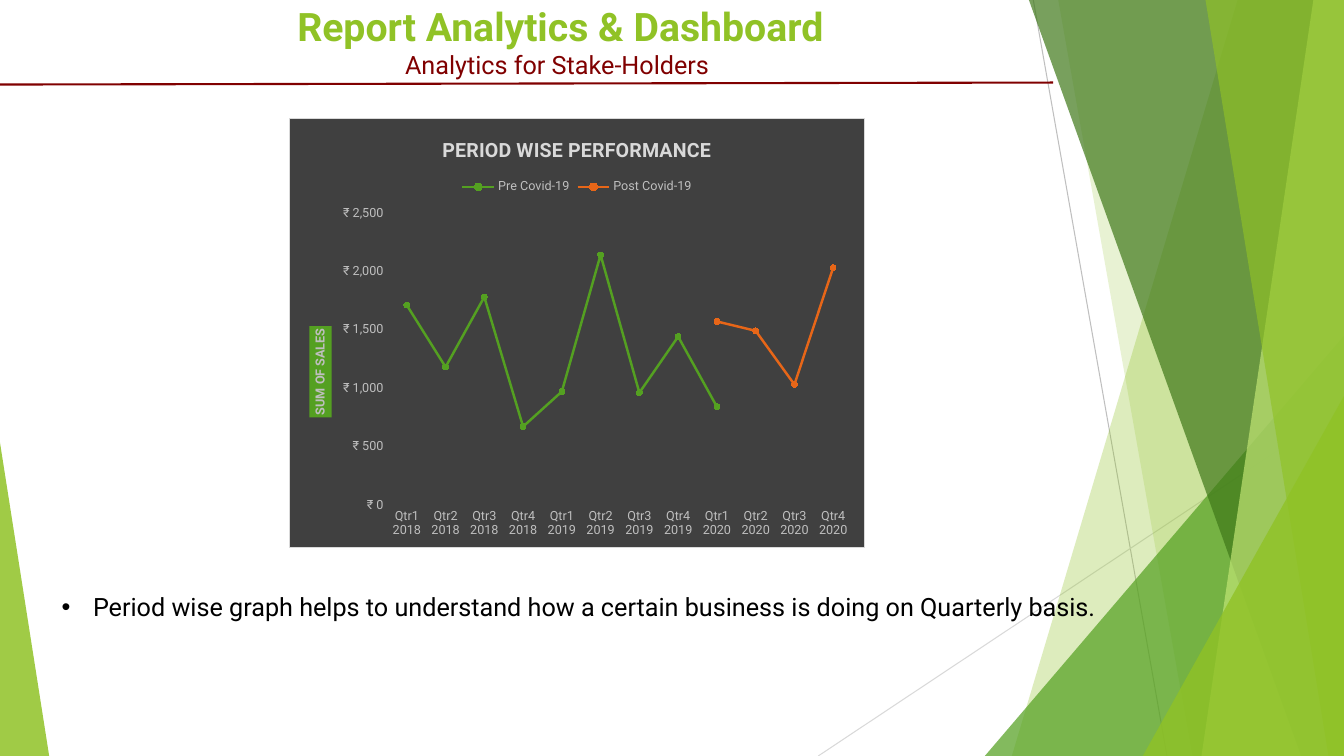
from lxml import etree
from pptx import Presentation
from pptx.chart.data import CategoryChartData
from pptx.dml.color import RGBColor
from pptx.enum.chart import (XL_CHART_TYPE, XL_LEGEND_POSITION, XL_MARKER_STYLE,
                             XL_TICK_MARK)
from pptx.enum.shapes import MSO_CONNECTOR, MSO_SHAPE
from pptx.enum.text import MSO_ANCHOR, MSO_AUTO_SIZE, PP_ALIGN
from pptx.oxml import parse_xml
from pptx.oxml.ns import nsdecls, qn
from pptx.util import Cm, Pt

LINE_CHART = XL_CHART_TYPE.LINE_MARKERS_STACKED
LEGEND_TOP = XL_LEGEND_POSITION.TOP
CIRCLE = XL_MARKER_STYLE.CIRCLE
NO_TICK = XL_TICK_MARK.NONE
STRAIGHT = MSO_CONNECTOR.STRAIGHT
TRIANGLE = MSO_SHAPE.ISOSCELES_TRIANGLE
TOP, MIDDLE = MSO_ANCHOR.TOP, MSO_ANCHOR.MIDDLE
NO_AUTOFIT = MSO_AUTO_SIZE.NONE
LEFT, CENTER = PP_ALIGN.LEFT, PP_ALIGN.CENTER

FONT = "Roboto"
LIME, GREEN, DARK_GREEN, PALE_LIME = "90C226", "54A021", "3F7819", "C0E474"
ORANGE, MAROON, BLACK = "E76618", "800000", "000000"
CHARCOAL, LIGHT_GRAY, GRAY = "404040", "D9D9D9", "BFBFBF"
SLIDE_WIDTH, SLIDE_HEIGHT = 33.87, 19.05


# Shared helpers
def rgb(color):
    return RGBColor.from_string(color)


def set_font(font, size, color, bold=False):
    font.name, font.size, font.bold = FONT, Pt(size), bold
    font.color.rgb = rgb(color)


def add_line(slide, start, end, color, width):
    line = slide.shapes.add_connector(STRAIGHT, *(Cm(value) for value in start + end))
    line.line.color.rgb = rgb(color)
    line.line.width = Pt(width)
    etree.SubElement(line._element.spPr, qn("a:effectLst"))


def fill_facet(shape, color, opacity):
    shape.shadow.inherit = False
    shape.line.fill.background()
    shape.fill.solid()
    shape.fill.fore_color.rgb = rgb(color)
    color_element = shape._element.spPr.find(".//" + qn("a:srgbClr"))
    etree.SubElement(color_element, qn("a:alpha"), val=str(opacity * 1000))


def place(shape, left, top, width, height):
    shape.left, shape.top, shape.width, shape.height = map(Cm, (left, top, width, height))


# Facets: bands and triangles that lean on the right edge, and one on the left
def add_band(slide, box, top_inset, bottom_inset, color, opacity):
    left, top, width, height = box
    right, bottom = left + width, top + height
    corners = [(right - top_inset, top), (right, top), (right, bottom),
               (right - bottom_inset, bottom)]
    points = [(Cm(x), Cm(y)) for x, y in corners]
    builder = slide.shapes.build_freeform(*points[0])
    builder.add_line_segments(points[1:])
    fill_facet(builder.convert_to_shape(), color, opacity)


def add_triangle(slide, left, bottom, width, height, apex, color, opacity):
    shape = slide.shapes.add_shape(
        TRIANGLE, Cm(left), Cm(bottom - height), Cm(width), Cm(height))
    shape.adjustments[0] = apex
    fill_facet(shape, color, opacity)


def add_facets(slide, left, top, width, height):
    box = (left, top, width, height)
    right, bottom = left + width, top + height
    add_line(slide, (right - 7.83, top), (right - 4.46, bottom), GRAY, 0.75)
    add_line(slide, (right, top + 10.24), (right - 13.25, bottom), LIGHT_GRAY, 0.75)
    add_band(slide, box, 2.68, 8.37, LIME, 30)
    add_band(slide, box, 7.2, 3.82, LIME, 20)
    add_triangle(slide, right - 9.05, bottom, 9.05, 10.59, 1, GREEN, 72)
    add_band(slide, box, 7.94, 1.08, DARK_GREEN, 70)
    add_band(slide, box, 0.77, 3.59, PALE_LIME, 70)
    add_band(slide, box, 3.49, 0.39, LIME, 65)
    add_triangle(slide, right - 5.07, bottom, 5.07, 9.07, 1, LIME, 80)
    add_triangle(slide, left, bottom, 1.24, 7.9, 0, LIME, 85)


# Heading: title, subtitle and the rule below them
def add_heading(slide, left, top, width, height):
    add_line(slide, (0, top + 2.28), (left + width, top + 2.23), MAROON, 1.5)
    title = slide.shapes.title
    slide.shapes._spTree.append(title._element)
    place(title, left, top, width, height)
    frame = title.text_frame
    frame.text = "Report Analytics & Dashboard\vAnalytics for Stake-Holders "
    frame.auto_size, frame.vertical_anchor = NO_AUTOFIT, MIDDLE
    paragraph = frame.paragraphs[0]
    paragraph.alignment = CENTER
    main_run, subtitle_run = paragraph.runs
    set_font(main_run.font, 28, LIME, True)
    set_font(subtitle_run.font, 18, MAROON)


# Chart: quarterly sales before and after the pandemic
def add_chart_title(owner, text, size, color):
    frame = owner.text_frame
    frame.text = text
    set_font(frame.paragraphs[0].runs[0].font, size, color, True)


def style_axis(axis):
    axis.has_major_gridlines = False
    axis.major_tick_mark = axis.minor_tick_mark = NO_TICK
    axis.format.line.fill.background()
    set_font(axis.tick_labels.font, 9, GRAY)


def add_sales_chart(slide, left, top, width, height):
    data = CategoryChartData(number_format="General")
    data.categories = [f"Qtr{quarter}\n{year}"
                       for year in (2018, 2019, 2020) for quarter in range(1, 5)]
    data.add_series("Pre Covid-19",
                    [1710, 1180, 1780, 670, 970, 2140, 960, 1440, 840] + [None] * 3)
    data.add_series("Post Covid-19", [None] * 8 + [730, 1490, 1030, 2030])
    chart = slide.shapes.add_chart(
        LINE_CHART, Cm(left), Cm(top), Cm(width), Cm(height), data).chart
    set_font(chart.font, 10, BLACK)
    chart.has_title = True
    add_chart_title(chart.chart_title, "PERIOD WISE PERFORMANCE", 14, LIGHT_GRAY)

    chart.has_legend = True
    chart.legend.position = LEGEND_TOP
    chart.legend.include_in_layout = False
    set_font(chart.legend.font, 9, GRAY)

    style_axis(chart.category_axis)
    sales_axis = chart.value_axis
    style_axis(sales_axis)
    sales_axis.minimum_scale, sales_axis.maximum_scale = 0, 2500
    sales_axis.major_unit = 500
    sales_axis.tick_labels.number_format = '"₹"\\ #,##0'
    sales_axis.tick_labels.number_format_is_linked = False
    axis_title = sales_axis.axis_title
    add_chart_title(axis_title, "SUM OF SALES", 9, GRAY)
    axis_title.format.fill.solid()
    axis_title.format.fill.fore_color.rgb = rgb(GREEN)
    body = axis_title._element.find(".//" + qn("a:bodyPr"))
    body.set("rot", "-5400000")
    body.set("vert", "horz")

    chart.plots[0].vary_by_categories = False
    for series, color in zip(chart.plots[0].series, (GREEN, ORANGE)):
        series.smooth = False
        series.format.line.color.rgb = rgb(color)
        series.format.line.width = Pt(1.75)
        marker = series.marker
        marker.style, marker.size = CIRCLE, 4
        marker.format.fill.solid()
        marker.format.fill.fore_color.rgb = rgb(color)
        marker.format.line.color.rgb = rgb(color)

    # Plot position, then the dark background with its thin border
    plot_area = chart._chartSpace.chart.plotArea
    for layout in plot_area.findall(qn("c:layout")):
        plot_area.remove(layout)
    plot_area.insert(0, parse_xml(
        f'<c:layout {nsdecls("c")}><c:manualLayout><c:layoutTarget val="inner"/>'
        '<c:xMode val="edge"/><c:yMode val="edge"/><c:x val="0.17"/><c:y val="0.22"/>'
        '<c:w val="0.81"/><c:h val="0.68"/></c:manualLayout></c:layout>'))
    chart._chartSpace.chart.addnext(parse_xml(
        f'<c:spPr {nsdecls("c", "a")}>'
        f'<a:solidFill><a:srgbClr val="{CHARCOAL}"/></a:solidFill>'
        f'<a:ln w="{Pt(0.75)}"><a:solidFill><a:srgbClr val="{LIGHT_GRAY}"/>'
        '</a:solidFill></a:ln></c:spPr>'))


# Takeaway: the bullet below the chart
def add_takeaway(slide, left, top, width, height):
    body = slide.placeholders[1]
    slide.shapes._spTree.append(body._element)
    place(body, left, top, width, height)
    frame = body.text_frame
    frame.text = ("Period wise graph helps to understand how a certain business "
                  "is doing on Quarterly basis. ")
    frame.auto_size, frame.vertical_anchor = NO_AUTOFIT, TOP
    paragraph = frame.paragraphs[0]
    paragraph.alignment, paragraph.space_before = LEFT, Pt(0)
    set_font(paragraph.runs[0].font, 18, BLACK)
    properties = paragraph._p.get_or_add_pPr()
    properties.set("marL", str(Cm(0.79)))
    properties.set("indent", str(-Cm(0.79)))
    etree.SubElement(properties, qn("a:buFont"), typeface="Arial")
    etree.SubElement(properties, qn("a:buChar"), char="•")


presentation = Presentation()
presentation.slide_width, presentation.slide_height = Cm(SLIDE_WIDTH), Cm(SLIDE_HEIGHT)
slide = presentation.slides.add_slide(presentation.slide_layouts[1])
add_facets(slide, 0, 0, SLIDE_WIDTH, SLIDE_HEIGHT)
add_heading(slide, 1.7, -0.15, 24.84, 2.34)
add_sales_chart(slide, 7.29, 2.97, 14.5, 10.85)
add_takeaway(slide, 1.3, 14.78, 26.6, 2.57)
presentation.save("out.pptx")
